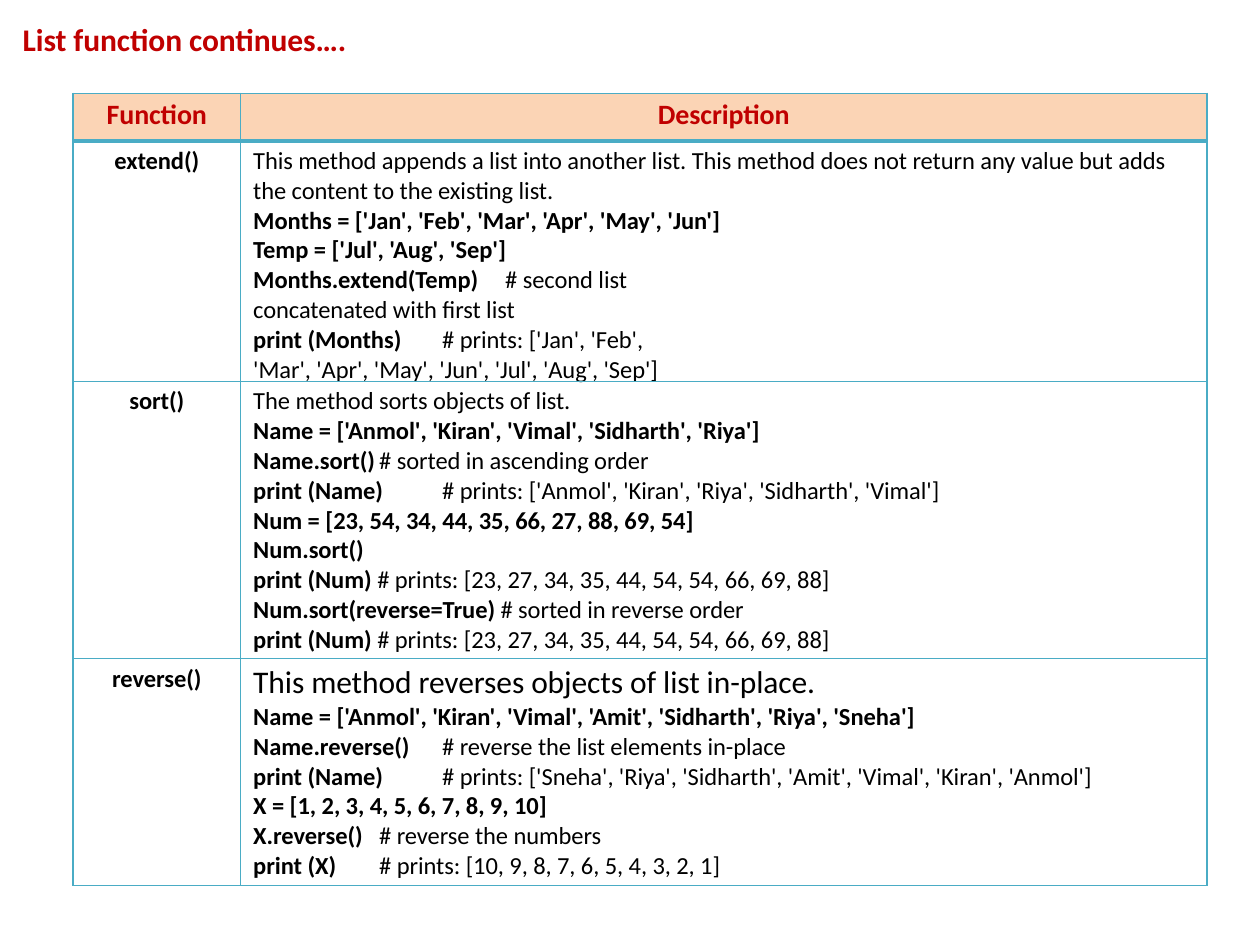
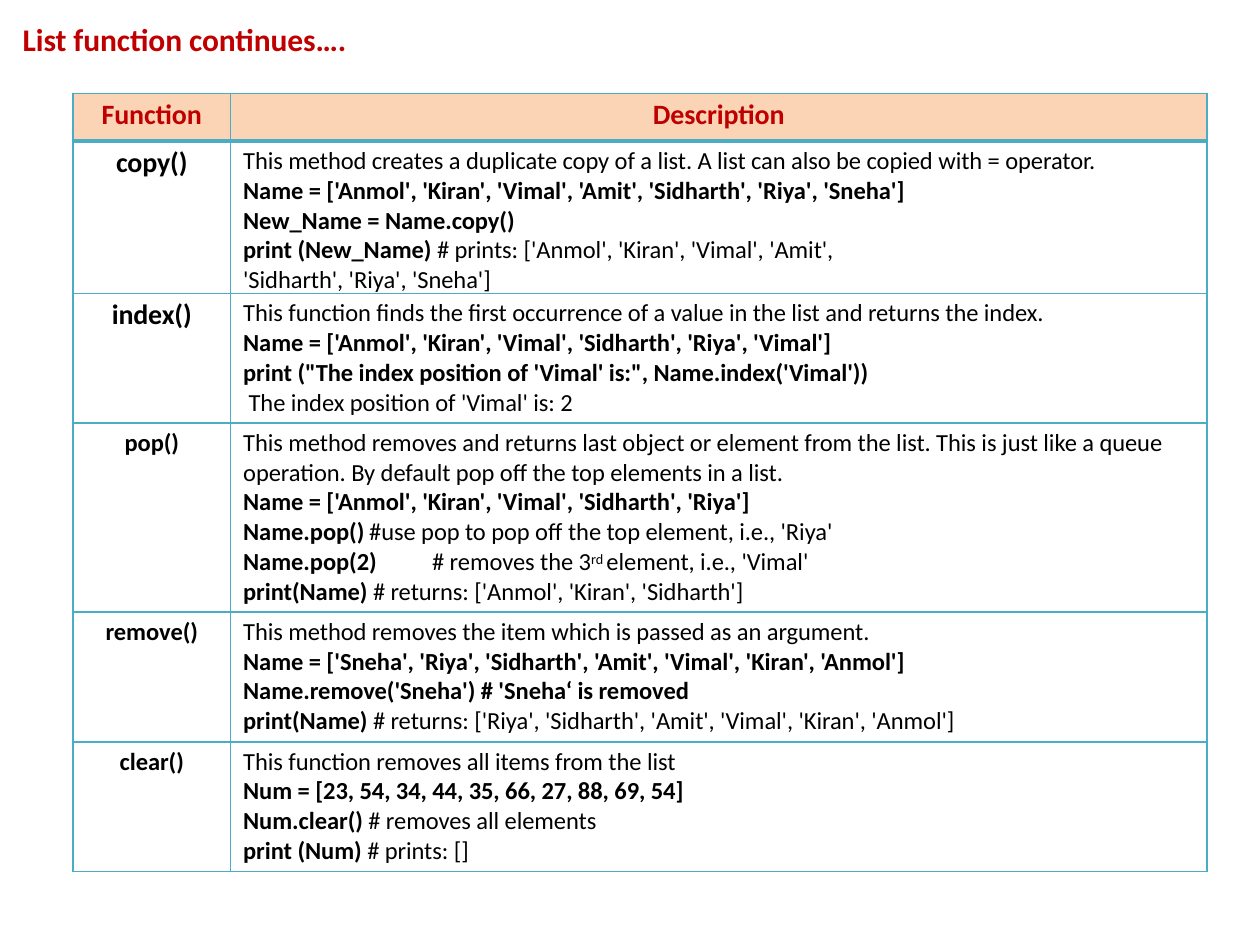
from lxml.etree import SubElement
from pptx import Presentation
from pptx.dml.color import RGBColor
from pptx.enum.text import MSO_ANCHOR, MSO_AUTO_SIZE, PP_ALIGN
from pptx.oxml.ns import qn
from pptx.util import Inches, Pt

FONT = "Calibri"
RED, BLACK, PEACH, TEAL = "C00000", "000000", "FBD4B5", "4AACC5"
TITLE = "List function continues…."

# Text marks: * switches bold, ^ switches superscript, \n breaks the line.
# A paragraph is a string, or a pair of a string and its format values.
FIRST = [
    ("extend()", 14, [
        "This method appends a list into another list. "
        "This method does not return any value but adds",
        "the content to the existing list.",
        "*Months = ['Jan', 'Feb', 'Mar', 'Apr', 'May', 'Jun']\n"
        "Temp = ['Jul', 'Aug', 'Sep']*",
        ("*Months.extend(Temp)\t*# second list\nconcatenated with first list",
         {"tab": 2.37}),
        ("*print (Months)\t*# prints: ['Jan', 'Feb',\n"
         "'Mar', 'Apr', 'May', 'Jun', 'Jul', 'Aug', 'Sep']", {"tab": 1.76}),
    ]),
    ("sort()", 14, [
        "The method sorts objects of list.",
        "*Name = ['Anmol', 'Kiran', 'Vimal', 'Sidharth', 'Riya']*",
        ("*Name.sort()\t*# sorted in ascending order", {"tab": 1.38}),
        ("*print (Name)\t*# prints: "
         "['Anmol', 'Kiran', 'Riya', 'Sidharth', 'Vimal']", {"tab": 1.4}),
        "*Num = [23, 54, 34, 44, 35, 66, 27, 88, 69, 54]*",
        "*Num.sort()*",
        "*print (Num) *# prints: [23, 27, 34, 35, 44, 54, 54, 66, 69, 88]",
        "*Num.sort(reverse=True) *# sorted in reverse order",
        "*print (Num) *# prints: [23, 27, 34, 35, 44, 54, 54, 66, 69, 88]",
    ]),
    ("reverse()", 14, [
        ("This method reverses objects of list in-place.", {"size": 18}),
        "*Name = ['Anmol', 'Kiran', 'Vimal', 'Amit', 'Sidharth', 'Riya', 'Sneha']*",
        ("*Name.reverse()\t*# reverse the list elements in-place", {"tab": 1.65}),
        ("*print (Name)\t*# prints: ['Sneha', 'Riya', 'Sidharth', 'Amit', "
         "'Vimal', 'Kiran', 'Anmol']", {"tab": 1.44}),
        "*X = [1, 2, 3, 4, 5, 6, 7, 8, 9, 10]*",
        ("*X.reverse()\t*# reverse the numbers", {"tab": 1.32}),
        ("*print (X)\t*# prints: [10, 9, 8, 7, 6, 5, 4, 3, 2, 1]", {"tab": 1.2}),
    ]),
]
SECOND = [
    ("copy()", 16, [
        "This method creates a duplicate copy of a list. "
        "A list can also be copied with = operator.",
        "*Name = ['Anmol', 'Kiran', 'Vimal', 'Amit', 'Sidharth', 'Riya', 'Sneha']\n"
        "New_Name = Name.copy()*",
        "*print (New_Name) *# prints: ['Anmol', 'Kiran', 'Vimal', 'Amit',\n"
        "'Sidharth', 'Riya', 'Sneha']",
    ]),
    ("index()", 16, [
        "This function finds the first occurrence of a value in the list "
        "and returns the index.",
        "*Name = ['Anmol', 'Kiran', 'Vimal', 'Sidharth', 'Riya', 'Vimal']\n"
        "print (\"The index position of 'Vimal' is:\", Name.index('Vimal'))*\n"
        " The index position of 'Vimal' is: 2",
    ]),
    ("pop()", 14, [
        "This method removes and returns last object or element from the list. "
        "This is just like a queue operation. "
        "By default pop off the top elements in a list.",
        "*Name = ['Anmol', 'Kiran', 'Vimal', 'Sidharth', 'Riya']*",
        ("*Name.pop()\t*#use pop to pop off the top element, i.e., 'Riya'",
         {"tab": 2.02}),
        ("*Name.pop(2)\t*# removes the 3^rd ^element, i.e., 'Vimal'",
         {"tab": 1.56}),
        "*print(Name) *# returns: ['Anmol', 'Kiran', 'Sidharth']",
    ]),
    ("remove()", 14, [
        "This method removes the item which is passed as an argument.",
        "*Name = ['Sneha', 'Riya', 'Sidharth', 'Amit', 'Vimal', 'Kiran', 'Anmol']*",
        "*Name.remove('Sneha') # 'Sneha‘ is removed*",
        "*print(Name) *# returns: ['Riya', 'Sidharth', 'Amit', 'Vimal', "
        "'Kiran', 'Anmol']",
    ]),
    ("clear()", 14, [
        "This function removes all items from the list",
        "*Num = [23, 54, 34, 44, 35, 66, 27, 88, 69, 54]*",
        "*Num.clear() *# removes all elements",
        "*print (Num) *# prints: []",
    ]),
]


def color(code):
    return RGBColor.from_string(code)


def assign(item, values):
    for name, value in values.items():
        setattr(item, name, value)


class Deck:
    def __init__(self):
        self.prs = Presentation()
        assign(self.prs, {"slide_width": Inches(10), "slide_height": Inches(7.5)})
        self.slide = None

    # Slide with its heading
    def page(self, title):
        self.slide = self.prs.slides.add_slide(self.prs.slide_layouts[5])
        head = self.slide.shapes.title
        assign(head, {"left": Inches(0.17), "top": Inches(0.15),
                      "width": Inches(2.61), "height": Inches(0.33)})
        frame = head.text_frame
        assign(frame, {"margin_left": 0, "margin_right": 0, "margin_bottom": 0,
                       "margin_top": Inches(0.01), "word_wrap": True,
                       "auto_size": MSO_AUTO_SIZE.SHAPE_TO_FIT_TEXT,
                       "vertical_anchor": MSO_ANCHOR.TOP})
        self.put(frame.paragraphs[0], f"*{title}*", size=18, ink=RED,
                 before=1, indent=0.01)

    # One paragraph of marked text
    def put(self, para, text, size=14, ink=BLACK, before=0, indent=0,
            tab=None, align=PP_ALIGN.LEFT):
        assign(para, {"alignment": align, "space_before": Pt(before)})
        props = para._p.get_or_add_pPr()
        props.set("marL", str(Inches(indent)))
        props.set("indent", "0")
        if tab:
            stops = SubElement(props, qn("a:tabLst"))
            SubElement(stops, qn("a:tab"), pos=str(Inches(tab)), algn="l")
        for i, part in enumerate(text.split("*")):
            for j, piece in enumerate(part.split("^")):
                for k, line in enumerate(piece.split("\n")):
                    if k:
                        para.add_line_break()
                    if line:
                        self.span(para, line, size, ink, i % 2 == 1, j % 2 == 1)

    def span(self, para, text, size, ink, bold, raised):
        run = para.add_run()
        run.text = text
        assign(run.font, {"name": FONT, "size": Pt(size), "bold": bold})
        run.font.color.rgb = color(ink)
        props = run._r.get_or_add_rPr()
        props.set("spc", "-5")
        if raised:
            props.set("baseline", "25000")

    # Cell frame: borders come before the fill
    def border(self, cell, top, bottom):
        props = cell._tc.get_or_add_tcPr()
        for side, width in zip("LRTB", (1, 1, top, bottom)):
            line = SubElement(props, qn(f"a:ln{side}"), w=str(Pt(width)))
            fill = SubElement(line, qn("a:solidFill"))
            SubElement(fill, qn("a:srgbClr"), val=TEAL)

    def fill(self, cell, paras, back=None, **style):
        assign(cell, {"margin_left": 0, "margin_right": 0, "margin_bottom": 0,
                      "margin_top": Inches(0.04),
                      "vertical_anchor": MSO_ANCHOR.TOP})
        if back:
            cell.fill.solid()
            cell.fill.fore_color.rgb = color(back)
        else:
            cell.fill.background()
        frame = cell.text_frame
        for i, item in enumerate(paras):
            text, extra = (item, {}) if isinstance(item, str) else item
            para = frame.add_paragraph() if i else frame.paragraphs[0]
            before = 0 if i else 2.7
            self.put(para, text, **{"before": before, **style, **extra})

    # Table of functions; edges maps a row edge to its line width
    def table(self, data, widths, heights, edges):
        shape = self.slide.shapes.add_table(
            len(heights), 2, Inches(0.58), Inches(0.74),
            Inches(sum(widths)), Inches(sum(heights)))
        grid = shape.table
        assign(grid, {"first_row": False, "horz_banding": False})
        for col, width in zip(grid.columns, widths):
            col.width = Inches(width)
        for i, height in enumerate(heights):
            grid.rows[i].height = Inches(height)
            for cell in grid.rows[i].cells:
                self.border(cell, edges.get(i, 1), edges.get(i + 1, 1))
        for cell, label in zip(grid.rows[0].cells, ("Function", "Description")):
            self.fill(cell, [f"*{label}*"], PEACH, size=16, ink=RED,
                      before=3, align=PP_ALIGN.CENTER)
        for i, (name, size, paras) in enumerate(data, 1):
            self.fill(grid.cell(i, 0), [f"*{name}*"], size=size,
                      align=PP_ALIGN.CENTER)
            self.fill(grid.cell(i, 1), paras, indent=0.1)


def main():
    deck = Deck()
    # extend, sort, reverse
    deck.page(TITLE)
    deck.table(FIRST, (1.33, 7.67), (0.38, 1.5, 2.2, 1.8), {1: 2.25})
    # copy, index, pop, remove, clear
    deck.page(TITLE)
    deck.table(SECOND, (1.25, 7.75), (0.38, 1.03, 1.03, 1.5, 1.03, 1.03),
               {1: 2.25, 5: 1.5})
    deck.prs.save("out.pptx")


if __name__ == "__main__":
    main()
